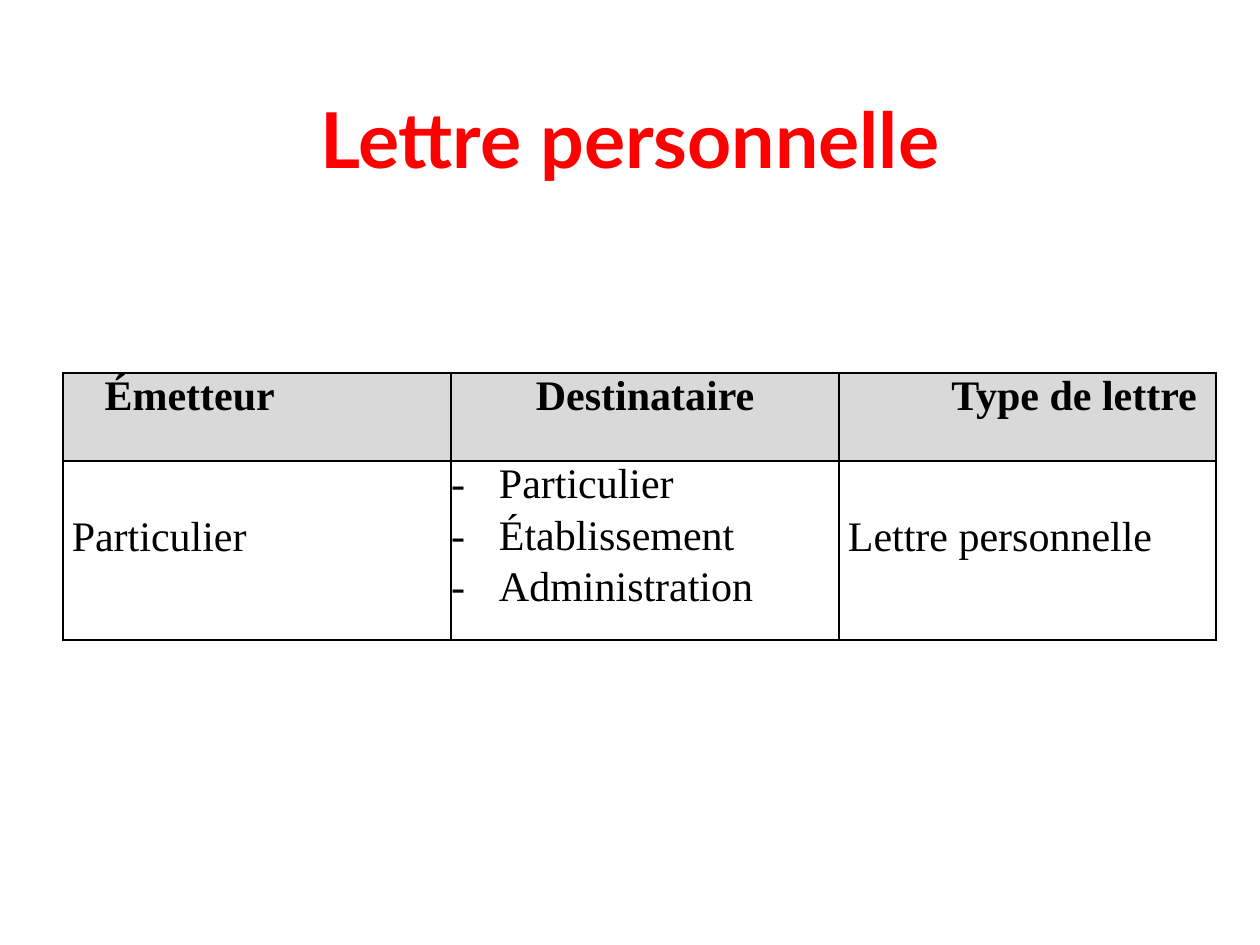
from dataclasses import dataclass

from lxml import etree
from pptx import Presentation
from pptx import util as u
from pptx.dml.color import RGBColor
from pptx.enum import text
from pptx.oxml.ns import qn

WIDTH, HEIGHT = 10, 7.5
COLUMNS = (3.08, 3.08, 2.99)
ROWS = (0.7, 1.42)
BLACK, RED, GREY = "000000", "FF0000", "D9D9D9"
CENTER = text.PP_ALIGN.CENTER
LEFT = text.PP_ALIGN.LEFT


@dataclass
class Entry:
    lines: tuple[str, ...]
    left: float = 0
    top: float = 0
    align: text.PP_ALIGN = LEFT
    bold: bool = False
    fill: str | None = None
    bullet: str | None = None


def color(value: str) -> RGBColor:
    return RGBColor.from_string(value)


def write(paragraph, words: str, *, size: float = 24, font: str = "Times New Roman",
          ink: str = BLACK, bold: bool = False, align=LEFT, before: float = 0) -> None:
    paragraph.alignment = align
    paragraph.space_before = u.Pt(before)
    run = paragraph.add_run()
    run.text = words
    run.font.size, run.font.name, run.font.bold = u.Pt(size), font, bold
    run.font.color.rgb = color(ink)


def add_bullet(paragraph, mark: str, indent: float = 0.38) -> None:
    properties = paragraph._p.get_or_add_pPr()
    properties.set("marL", str(u.Inches(indent)))
    properties.set("indent", str(-u.Inches(indent)))
    etree.SubElement(properties, qn("a:buFont"), typeface="Times New Roman")
    etree.SubElement(properties, qn("a:buChar"), char=mark)


def add_borders(cell, ink: str = BLACK, width: float = 1) -> None:
    properties = cell._tc.get_or_add_tcPr()
    for position, side in enumerate(("lnL", "lnR", "lnT", "lnB")):
        line = etree.Element(qn(f"a:{side}"), w=str(u.Pt(width)))
        fill = etree.SubElement(line, qn("a:solidFill"))
        etree.SubElement(fill, qn("a:srgbClr"), val=ink)
        properties.insert(position, line)


def fill_cell(cell, entry: Entry) -> None:
    cell.margin_left, cell.margin_top = u.Inches(entry.left), u.Inches(entry.top)
    cell.margin_right = cell.margin_bottom = 0
    if entry.fill:
        cell.fill.solid()
        cell.fill.fore_color.rgb = color(entry.fill)
    else:
        cell.fill.background()
    add_borders(cell)
    frame = cell.text_frame
    for index, words in enumerate(entry.lines):
        paragraph = frame.add_paragraph() if index else frame.paragraphs[0]
        write(paragraph, words, bold=entry.bold, align=entry.align,
              before=3 if index else 0)
        if entry.bullet:
            add_bullet(paragraph, entry.bullet)


def header(words: str, **layout) -> Entry:
    return Entry((words,), bold=True, fill=GREY, **layout)


def single(words: str) -> Entry:
    return Entry((words,), left=0.07, top=0.42)


LETTER_TABLE = (
    (header("Émetteur", left=0.33),
     header("Destinataire", align=CENTER),
     header("Type de lettre", left=0.89)),
    (single("Particulier"),
     Entry(("Particulier", "Établissement", "Administration"), bullet="-"),
     single("Lettre personnelle")),
)


def main() -> None:
    deck = Presentation()
    deck.slide_width, deck.slide_height = u.Inches(WIDTH), u.Inches(HEIGHT)
    slide = deck.slides.add_slide(deck.slide_layouts[5])

    # Title
    title = slide.shapes.title
    title.left, title.top = u.Inches(0.05 * WIDTH), u.Inches(0.52)
    title.width, title.height = u.Inches(0.9 * WIDTH), u.Inches(1.25)
    title.text_frame.vertical_anchor = text.MSO_ANCHOR.MIDDLE
    heading = title.text_frame.paragraphs[0]
    heading.line_spacing, heading.space_after = u.Pt(45), u.Pt(8)
    write(heading, "Lettre personnelle", size=44, font="Lato", ink=RED,
          bold=True, align=CENTER)

    # Table of senders, recipients and letter types
    letters = slide.shapes.add_table(
        len(ROWS), len(COLUMNS), u.Inches(0.05 * WIDTH), u.Inches(2.96),
        u.Inches(sum(COLUMNS)), u.Inches(sum(ROWS))).table
    letters.horz_banding = letters.first_row = False
    for column, width in zip(letters.columns, COLUMNS):
        column.width = u.Inches(width)
    for row, height, entries in zip(letters.rows, ROWS, LETTER_TABLE):
        row.height = u.Inches(height)
        for cell, entry in zip(row.cells, entries):
            fill_cell(cell, entry)

    deck.save("out.pptx")


if __name__ == "__main__":
    main()
